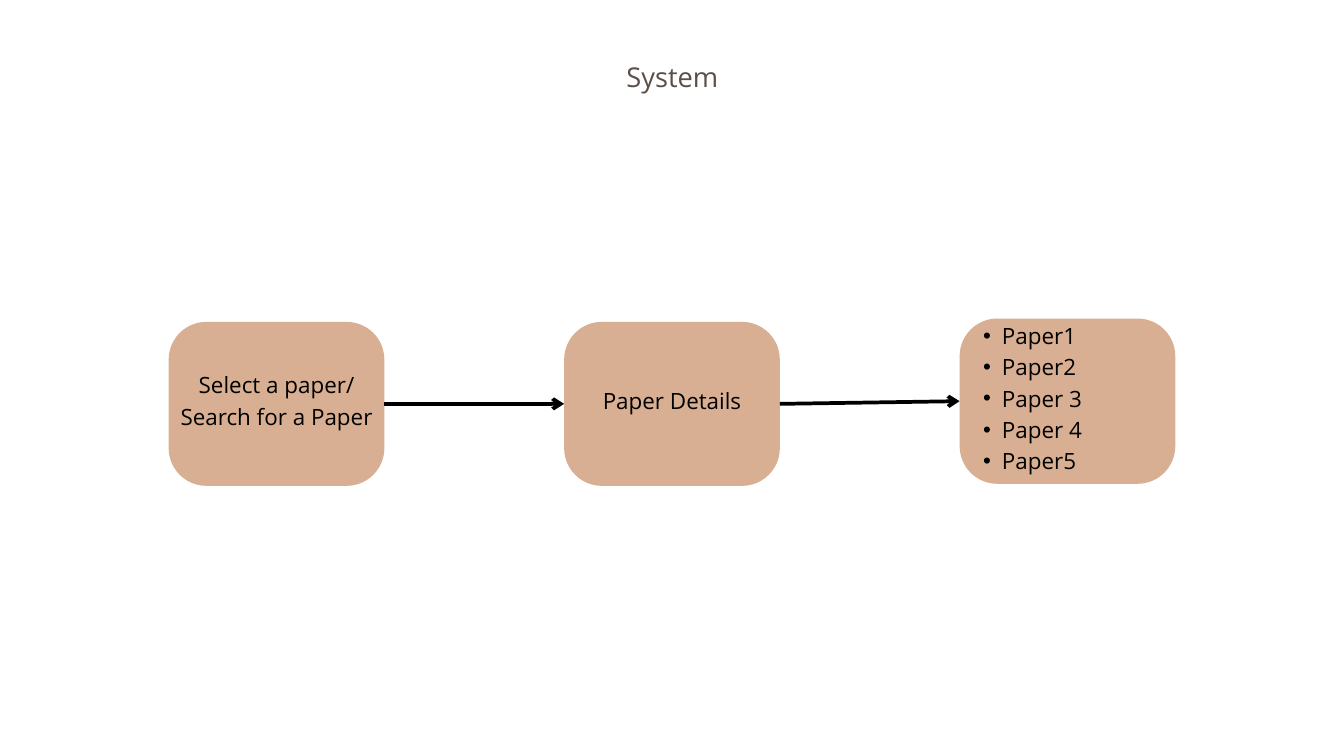
from lxml import etree
from pptx import Presentation
from pptx.dml.color import RGBColor
from pptx.enum.shapes import MSO_CONNECTOR as Conn, MSO_SHAPE as Shape
from pptx.enum.text import MSO_ANCHOR as Anchor, PP_ALIGN as Align
from pptx.oxml.ns import qn
from pptx.util import Inches, Pt

BLACK = RGBColor(0x00, 0x00, 0x00)
BROWN = RGBColor(0x5B, 0x4F, 0x47)
TAN = RGBColor(0xD9, 0xAF, 0x93)
FONT = "Open Sans"
RADIUS = 0.56
LEFT, STEP, WIDTH = 2.51, 5.885, 3.21


def add_text(slide, box, lines, size=24, color=BLACK, lead=33.6,
             align=Align.CENTER, anchor=Anchor.MIDDLE, inset=0.06,
             bullet=False):
    frame = slide.shapes.add_textbox(*map(Inches, box)).text_frame
    frame.word_wrap = True
    frame.vertical_anchor = anchor
    frame.margin_left = frame.margin_right = Inches(inset)
    frame.margin_top = frame.margin_bottom = Inches(inset)
    for i, line in enumerate(lines):
        para = frame.add_paragraph() if i else frame.paragraphs[0]
        para.alignment = align
        para.line_spacing = Pt(lead)
        if bullet:
            props = para._p.get_or_add_pPr()
            props.set("marL", str(Inches(0.57)))
            props.set("indent", str(Inches(-0.28)))
            etree.SubElement(props, qn("a:buFont")).set("typeface", "Arial")
            etree.SubElement(props, qn("a:buChar")).set("char", "•")
        run = para.add_run()
        run.text = line
        run.font.name = FONT
        run.font.size = Pt(size)
        run.font.color.rgb = color


def add_step(slide, box, lines, **style):
    """Draw a rounded card whose text area starts slightly above it."""
    left, top, width, height = box
    card = slide.shapes.add_shape(Shape.ROUNDED_RECTANGLE, *map(Inches, box))
    card.adjustments[0] = RADIUS / height
    card.shadow.inherit = False
    card.fill.solid()
    card.fill.fore_color.rgb = TAN
    card.line.fill.background()
    add_text(slide, (left, top - 0.16, width, height + 0.16), lines, **style)
    return card


def add_arrow(slide, start, end):
    """Join the right side of one card to the left side of the next."""
    arrow = slide.shapes.add_connector(Conn.STRAIGHT, 0, 0, 0, 0)
    arrow.begin_connect(start, 3)
    arrow.end_connect(end, 1)
    arrow.line.color.rgb = BLACK
    arrow.line.width = Pt(4)
    etree.SubElement(arrow.line._get_or_add_ln(),
                     qn("a:tailEnd")).set("type", "arrow")
    etree.SubElement(arrow._element.spPr, qn("a:effectLst"))


def add_flow(slide, left, top):
    steps = [
        (0.05, 2.44, ["Select a paper/ Search for a Paper"], {}),
        (0.05, 2.44, ["Paper Details"], {}),
        (0, 2.46, ["Paper1", "Paper2", "Paper 3", "Paper 4", "Paper5"],
         {"align": Align.LEFT, "bullet": True}),
    ]
    cards = [add_step(slide, (left + i * STEP, top + drop, WIDTH, height),
                      lines, **style)
             for i, (drop, height, lines, style) in enumerate(steps)]
    for start, end in zip(cards, cards[1:]):
        add_arrow(slide, start, end)


def main():
    deck = Presentation()
    deck.slide_width, deck.slide_height = Inches(20), Inches(11.25)
    slide = deck.slides.add_slide(deck.slide_layouts[6])
    add_text(slide, (6.87, 0.82, 6.27, 0.52), ["System"], size=29.2,
             color=BROWN, lead=40.9, anchor=Anchor.TOP, inset=0)
    add_flow(slide, LEFT, 4.74)
    deck.save("out.pptx")


if __name__ == "__main__":
    main()
